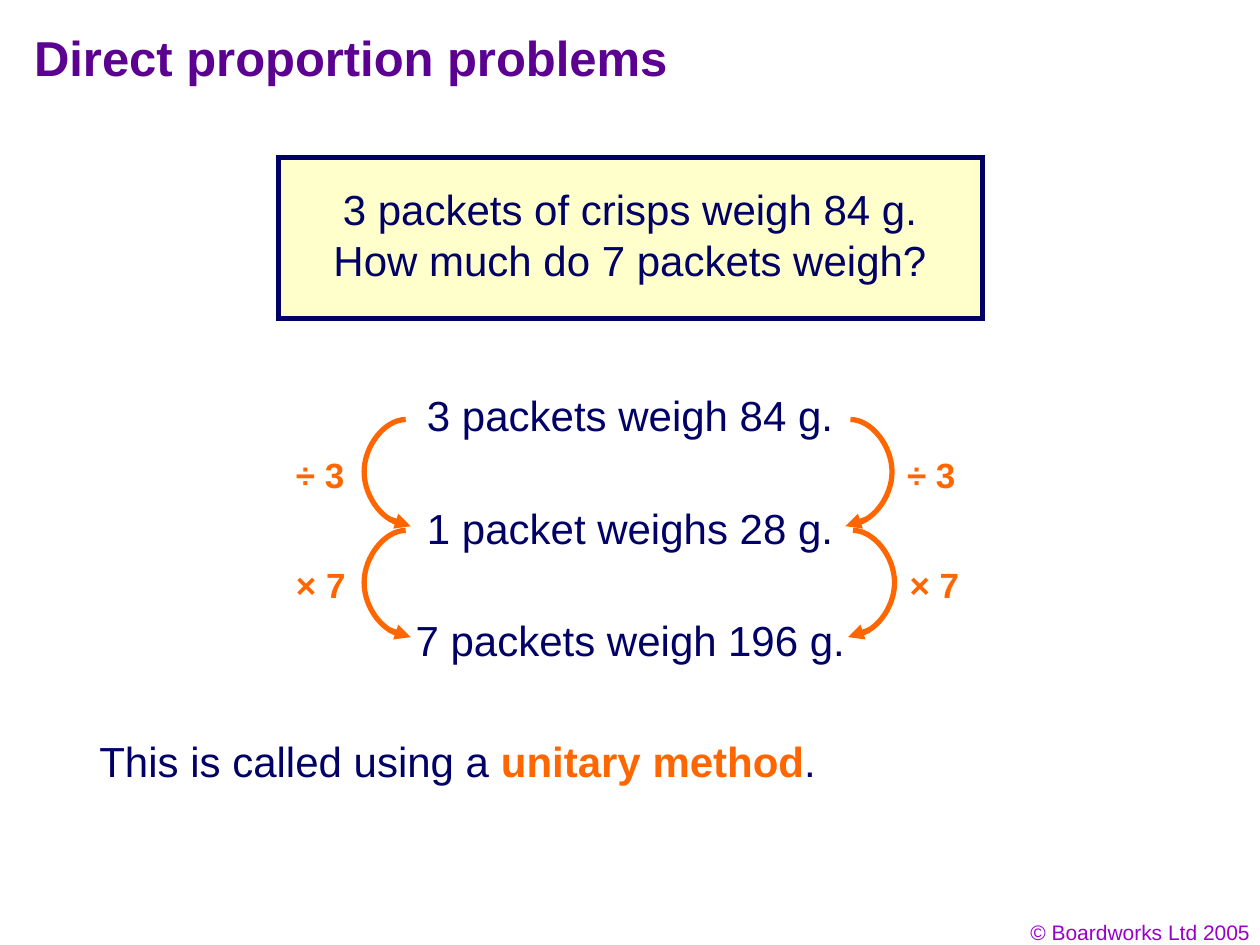
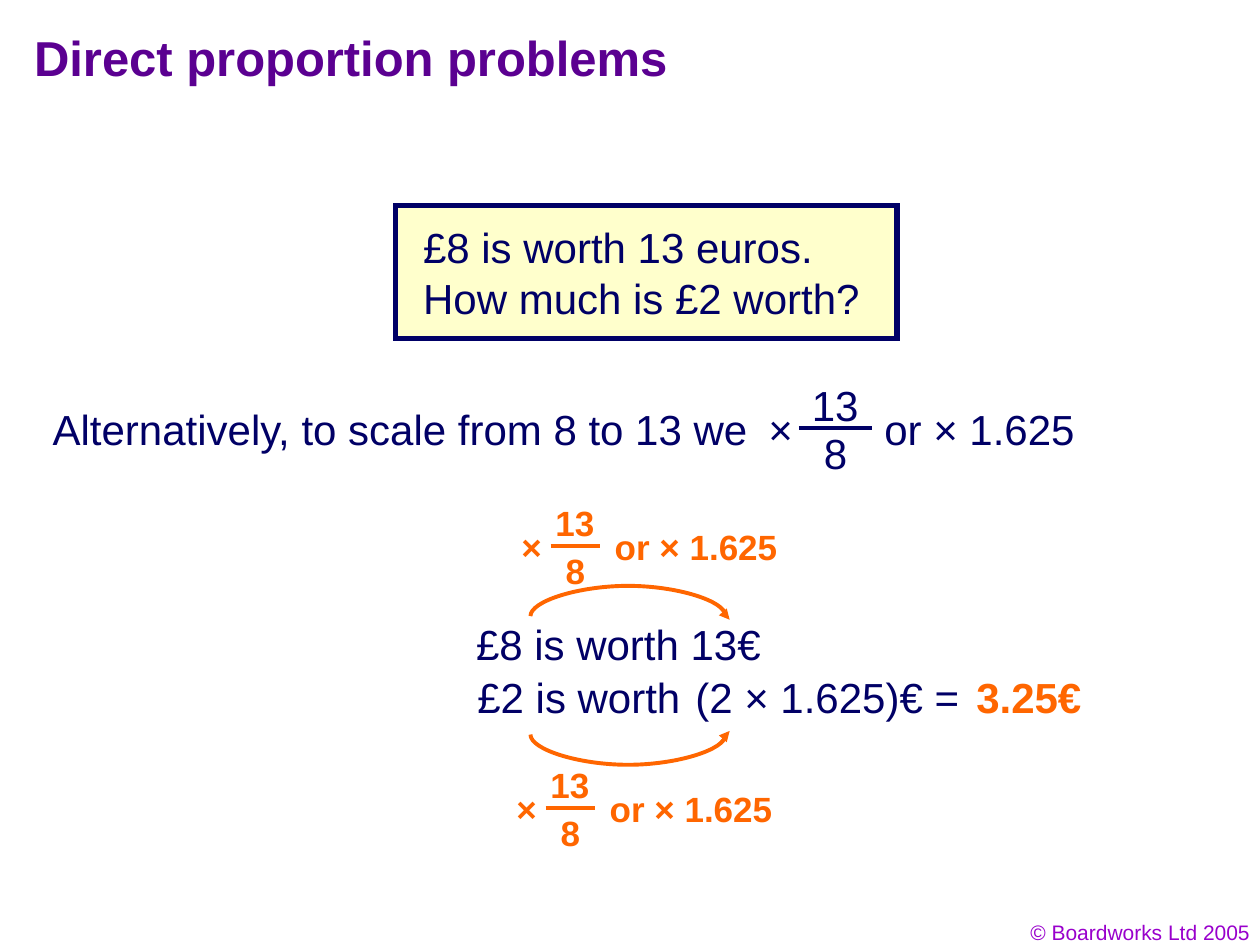
from pptx import Presentation
from pptx.dml.color import RGBColor
from pptx.enum.shapes import MSO_CONNECTOR as CONNECTOR, MSO_SHAPE as SHAPE
from pptx.enum.text import MSO_ANCHOR as ANCHOR, MSO_AUTO_SIZE as FIT, PP_ALIGN as ALIGN
from pptx.oxml.ns import qn
from pptx.util import Inches, Pt
from lxml.etree import SubElement

TITLE, FOOTER = "5B0091", "9900CC"
NAVY, INK, ORANGE, CREAM = "000066", "010066", "FF6600", "FFFFCC"
BODY = {"size": Pt(24), "bold": False}
ACCENT = {"size": Pt(20), "bold": True}
HEADING = {"size": Pt(28), "bold": True}
SMALL = {"size": Pt(12), "bold": False}


def rgb(value):
    """Turn a hex string into a colour."""
    return RGBColor.from_string(value)


def inches(*values):
    """Convert several numbers to lengths."""
    return [Inches(value) for value in values]


def add_span(para, text, style, color):
    """Add one formatted run to a paragraph."""
    span = para.add_run()
    span.text = text
    for name, value in {"name": "Arial", **style}.items():
        setattr(span.font, name, value)
    span.font.color.rgb = rgb(color)


def fill_text(shape, lines, style, color, align=ALIGN.LEFT, wrap=True):
    """Write lines into a shape, each one a formatted paragraph."""
    frame = shape.text_frame
    settings = {"word_wrap": wrap, "auto_size": FIT.NONE, "vertical_anchor": ANCHOR.TOP}
    for name, value in settings.items():
        setattr(frame, name, value)
    for index, line in enumerate(lines):
        para = frame.add_paragraph() if index else frame.paragraphs[0]
        para.alignment = align
        add_span(para, line, style, color)


def add_label(page, text, box, style=BODY, color=INK, align=ALIGN.LEFT, wrap=False):
    """Place a line of text and return its text box."""
    label = page.shapes.add_textbox(*inches(*box))
    fill_text(label, [text], style, color, align, wrap)
    return label


def add_line(page, start, end, color, width, arrow=False):
    """Draw a straight line, with an arrowhead if asked."""
    line = page.shapes.add_connector(CONNECTOR.STRAIGHT, *inches(*start, *end))
    line.line.color.rgb = rgb(color)
    line.line.width = Pt(width)
    if arrow:
        SubElement(line.line._get_or_add_ln(), qn("a:tailEnd"), type="triangle")
    SubElement(line._element.spPr, qn("a:effectLst"))


def add_panel(page, box, line=None):
    """Draw a cream rectangle, with sharp outline corners if a line colour is given."""
    panel = page.shapes.add_shape(SHAPE.RECTANGLE, *inches(*box))
    panel.shadow.inherit = False
    panel.fill.solid()
    panel.fill.fore_color.rgb = rgb(CREAM)
    if line:
        panel.line.color.rgb = rgb(line)
        panel.line.width = Pt(3)
        SubElement(panel.line._get_or_add_ln(), qn("a:miter"), lim="800000")
    else:
        panel.line.fill.background()
    return panel


def add_question(page, box, inset, lines, align):
    """Draw the framed question with its text panel inside."""
    left, top, width, _ = box
    dx, dy, inner_width = inset
    add_panel(page, box, NAVY)
    panel = add_panel(page, (left + dx, top + dy, inner_width, 0.9))
    fill_text(panel, lines, BODY, NAVY, align)


def shift(point, bulge, out, span=(0, 0), along=0):
    """Move a point by shares of the bulge and of the span."""
    return tuple(p + out * b + along * s for p, b, s in zip(point, bulge, span))


def curve_segments(shape, controls):
    """Turn each straight segment of a freeform into a cubic curve."""
    for segment, points in zip(list(shape._element.iter(qn("a:lnTo"))), controls):
        curve = segment.makeelement(qn("a:cubicBezTo"))
        segment.getparent().replace(segment, curve)
        for x, y in points:
            SubElement(curve, qn("a:pt"), x=str(Inches(x) - shape.left),
                       y=str(Inches(y) - shape.top))


def add_arc(page, start, end, bulge, width, head_width):
    """Draw a curved arrow from start to end that swells by the bulge."""
    span = tuple(e - s for s, e in zip(start, end))
    apex = shift(start, bulge, 1, span, 0.5)
    builder = page.shapes.build_freeform(*inches(*start))
    builder.add_line_segments([inches(*apex), inches(*end)], close=False)
    arc = builder.convert_to_shape()
    curve_segments(arc, [
        (shift(start, bulge, 0.5), shift(apex, bulge, 0, span, -0.25), apex),
        (shift(apex, bulge, 0, span, 0.25), shift(end, bulge, 0.5), end)])
    arc.shadow.inherit = False
    arc.fill.background()
    arc.line.color.rgb = rgb(ORANGE)
    arc.line.width = Pt(width)
    add_line(page, shift(end, bulge, 0.4, span, -0.05),
             shift(end, bulge, -0.12, span, 0.02), ORANGE, head_width, arrow=True)


def add_step(page, text, top, label_top, right_arc):
    """Draw a pair of arcs and their labels on both sides of the working."""
    for x, bulge, label_x in ((3.22, -0.33, 2.25), (right_arc, 0.33, right_arc + 0.35)):
        add_arc(page, (x, top), (x, top + 0.83), (bulge, 0), 3, 3)
        add_label(page, text, (label_x, label_top, 0.59, 0.44), ACCENT, ORANGE)


def add_multiplier(page, left, top, bar, sizes, style, color):
    """Write × 13/8 or × 1.625 around a fraction bar."""
    bar_left, bar_right, bar_drop, or_left = bar
    times_width, tens_width, unit_width, or_width, height = sizes
    centre = left + (bar_left + bar_right) / 2
    add_label(page, "×", (left, top, times_width, height), style, color)
    for digits, drop, width in (("13", -0.19, tens_width), ("8", 0.19, unit_width)):
        add_label(page, digits, (centre - width / 2, top + drop, width, height), style, color)
    add_line(page, (left + bar_left, top + bar_drop), (left + bar_right, top + bar_drop),
             color, 2.25)
    add_label(page, "or × 1.625", (left + or_left, top, or_width, height), style, color)


def add_page(deck, title_box):
    """Add a page with the shared title and footer."""
    page = deck.slides.add_slide(deck.slide_layouts[5])
    title = page.shapes.title
    for name, value in zip(("left", "top", "width", "height"), inches(*title_box)):
        setattr(title, name, value)
    fill_text(title, ["Direct proportion problems"], HEADING, TITLE)
    add_label(page, "© Boardworks Ltd 2005", (7.69, 7.25, 2.33, 0.3), SMALL, FOOTER,
              ALIGN.RIGHT, wrap=True)
    return page


def build_unitary_page(deck):
    """Build the page on the unitary method."""
    page = add_page(deck, (0.17, 0.17, 5.63, 0.58))
    add_question(page, (2.21, 1.25, 5.59, 1.28), (0.17, 0.16, 5.24),
                 ["3 packets of crisps weigh 84 g.", "How much do 7 packets weigh?"],
                 ALIGN.CENTER)
    for text, left, top, width in (("3 packets weigh 84 g.", 3.29, 3.04, 3.42),
                                   ("1 packet weighs 28 g.", 3.29, 3.94, 3.42),
                                   ("7 packets weigh", 3.2, 4.83, 2.59),
                                   ("196 g.", 5.68, 4.83, 1.12)):
        add_label(page, text, (left, top, width, 0.5))
    add_step(page, "÷ 3", 3.33, 3.55, 6.75)
    add_step(page, "× 7", 4.21, 4.42, 6.77)
    method = add_label(page, "This is called using a ", (0.69, 5.79, 5.88, 0.5))
    para = method.text_frame.paragraphs[0]
    add_span(para, "unitary method", {**BODY, "bold": True}, ORANGE)
    add_span(para, ".", BODY, INK)


def build_scaling_page(deck):
    """Build the page on scaling by a multiplier."""
    page = add_page(deck, (0.17, 0.17, 8.75, 0.5))
    add_question(page, (3.14, 1.63, 3.98, 1.06), (0.12, 0.08, 3.73),
                 ["£8 is worth 13 euros.", "How much is £2 worth?"], ALIGN.LEFT)
    add_label(page, "Alternatively, to scale from 8 to 13 we", (0.32, 3.15, 5.83, 0.5))
    add_multiplier(page, 6, 3.15, (0.34, 0.92, 0.25, 0.92), (0.49, 0.57, 0.38, 1.8, 0.5),
                   BODY, NAVY)
    for left, top in ((4.04, 4.12), (4, 6.2)):
        add_multiplier(page, left, top, (0.33, 0.72, 0.21, 0.74),
                       (0.44, 0.51, 0.35, 1.49, 0.44), ACCENT, ORANGE)
    for y, bulge in ((4.89, -0.24), (5.83, 0.24)):
        add_arc(page, (4.21, y), (5.76, y), (0, bulge), 2.25, 0.75)
    add_label(page, "£8 is worth 13€", (3.68, 4.86, 2.46, 0.5))
    add_label(page, "£2 is worth", (3.69, 5.28, 1.81, 0.5))
    add_label(page, "(2 × 1.625)€ =", (5.42, 5.28, 2.29, 0.5))
    add_label(page, "3.25€", (7.65, 5.28, 1.03, 0.5), {**BODY, "bold": True}, ORANGE)


def main():
    """Build the deck and save it."""
    deck = Presentation()
    deck.slide_width, deck.slide_height = inches(10, 7.5)
    build_unitary_page(deck)
    build_scaling_page(deck)
    deck.save("out.pptx")


if __name__ == "__main__":
    main()
